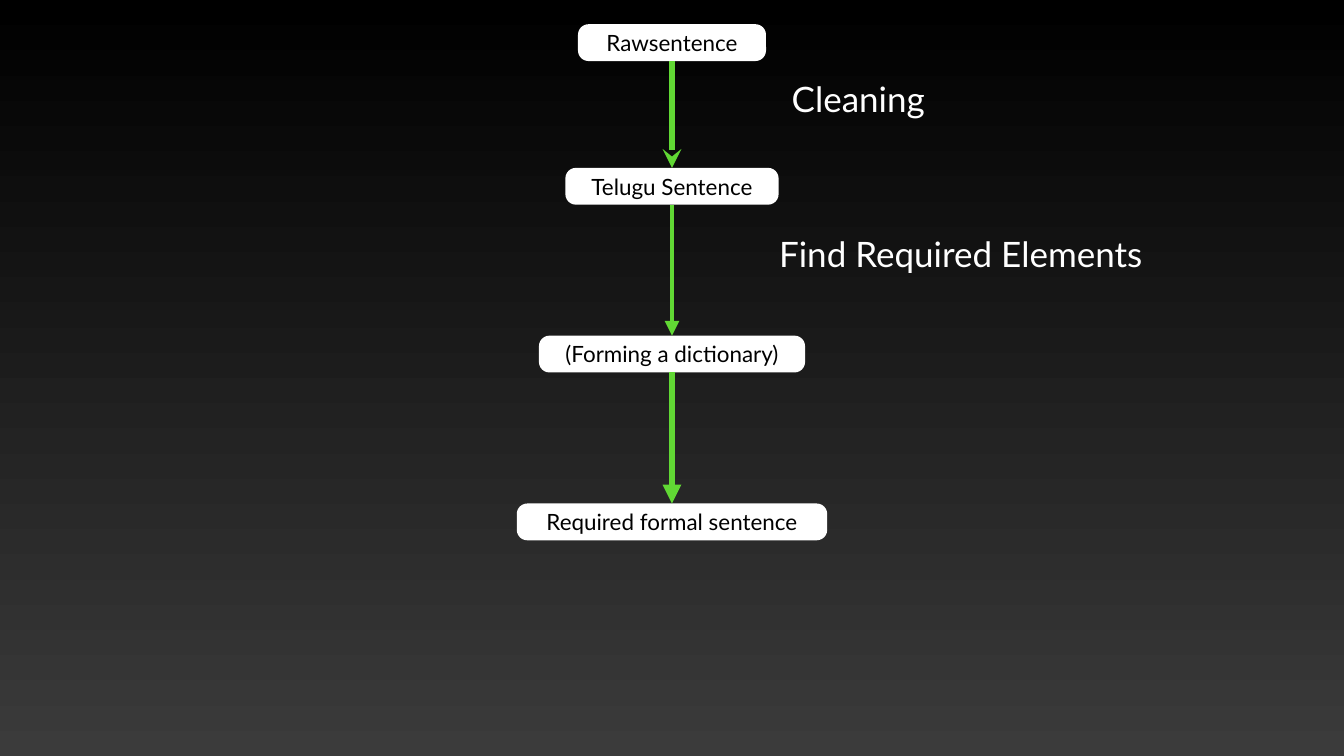
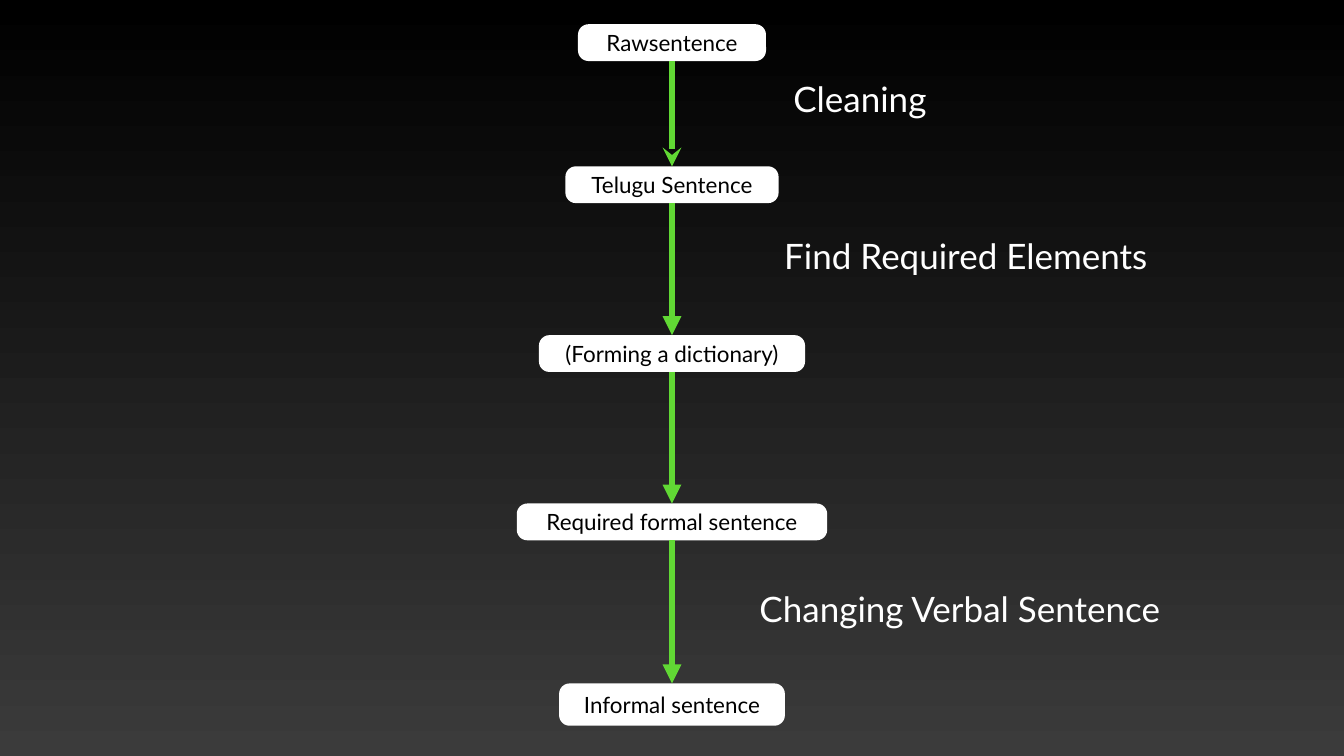
from lxml.etree import SubElement
from pptx import Presentation
from pptx.dml.color import RGBColor
from pptx.enum.shapes import MSO_CONNECTOR, MSO_SHAPE
from pptx.enum.text import MSO_ANCHOR, PP_ALIGN
from pptx.oxml.ns import qn
from pptx.util import Pt

THEME = {
    "font": "Lato",
    "top": RGBColor(0x00, 0x00, 0x00),
    "bottom": RGBColor(0x3B, 0x3B, 0x3B),
    "box": RGBColor(0xFF, 0xFF, 0xFF),
    "arrow": RGBColor(0x61, 0xD8, 0x34),
    "step": {"size": Pt(32), "color": RGBColor(0x00, 0x00, 0x00)},
    "label": {"size": Pt(50), "color": RGBColor(0xFF, 0xFF, 0xFF)},
}
WIDTH, HEIGHT = 1920, 1080
LABEL_HEIGHT = 66
CORNER = 15  # corner radius of every box
TOP_SITE, BOTTOM_SITE = 0, 2  # connection sites of a rounded rectangle

# Step: (text, width, height)
STEPS = [
    ("Rawsentence", 268.6, 52.6),
    ("Telugu Sentence", 304.6, 52.6),
    ("(Forming a dictionary)", 380.2, 52.6),
    ("Required formal sentence", 443.5, 52.6),
    ("Informal sentence", 322.6, 60.5),
]
# Arrows: (head, line width). Labels: (text, left, top, width)
FLOWS = [
    {
        "tops": [34.6, 239.8, 479.5, 719.3],
        "arrows": [("stealth", 9), ("triangle", 7), ("triangle", 9)],
        "labels": [
            ("Cleaning", 1131, 107.3, 210),
            ("Find Required Elements", 1113, 329, 554),
        ],
    },
    {
        "tops": [34.6, 237.6, 478.8, 719.3, 976.3],
        "arrows": [("stealth", 9)] + [("triangle", 9)] * 3,
        "labels": [
            ("Cleaning", 1133.3, 107.3, 210),
            ("Find Required Elements", 1120.3, 332.6, 554),
            ("Changing Verbal Sentence", 1085, 836, 627),
        ],
    },
]


def write(shape, text, style, alignment, margin):
    """Put one vertically centred line of styled text into a shape."""
    frame = shape.text_frame
    settings = {"word_wrap": True, "vertical_anchor": MSO_ANCHOR.MIDDLE}
    for side in ("left", "top", "right", "bottom"):
        settings[f"margin_{side}"] = Pt(margin)
    for name, value in settings.items():
        setattr(frame, name, value)
    paragraph = frame.paragraphs[0]
    paragraph.alignment = alignment
    run = paragraph.add_run()
    run.text = text
    run.font.name = THEME["font"]
    run.font.size = style["size"]
    run.font.color.rgb = style["color"]


def add_step(slide, step, top):
    """Add a rounded box centred on the slide and return it."""
    text, width, height = step
    shape = slide.shapes.add_shape(
        MSO_SHAPE.ROUNDED_RECTANGLE,
        Pt((WIDTH - width) / 2), Pt(top), Pt(width), Pt(height),
    )
    shape.adjustments[0] = CORNER / height
    shape.shadow.inherit = False
    shape.fill.solid()
    shape.fill.fore_color.rgb = THEME["box"]
    shape.line.fill.background()
    write(shape, text, THEME["step"], PP_ALIGN.CENTER, 4)
    return shape


def add_arrow(slide, upper, lower, head, width):
    """Connect the bottom of one box to the top of the next."""
    arrow = slide.shapes.add_connector(MSO_CONNECTOR.STRAIGHT, 0, 0, 0, 0)
    arrow.begin_connect(upper, BOTTOM_SITE)
    arrow.end_connect(lower, TOP_SITE)
    arrow.line.color.rgb = THEME["arrow"]
    arrow.line.width = Pt(width)
    SubElement(arrow.line._get_or_add_ln(), qn("a:tailEnd"), type=head)
    SubElement(arrow._element.spPr, qn("a:effectLst"))


def add_label(slide, text, left, top, width):
    """Add the name of the operation beside an arrow."""
    box = slide.shapes.add_textbox(Pt(left), Pt(top), Pt(width), Pt(LABEL_HEIGHT))
    write(box, text, THEME["label"], PP_ALIGN.LEFT, 0)


def set_background(master):
    """Give all slides the dark gradient, running from top to bottom."""
    fill = master.background.fill
    fill.gradient()
    fill.gradient_angle = 270
    for stop, position, name in zip(fill.gradient_stops, (0, 1), ("top", "bottom")):
        stop.position = position
        stop.color.rgb = THEME[name]


def add_flow(presentation, flow):
    """Add one slide with its chain of steps, arrows and labels."""
    slide = presentation.slides.add_slide(presentation.slide_layouts[6])
    boxes = [add_step(slide, step, top) for step, top in zip(STEPS, flow["tops"])]
    for upper, lower, arrow in zip(boxes, boxes[1:], flow["arrows"]):
        add_arrow(slide, upper, lower, *arrow)
    for label in flow["labels"]:
        add_label(slide, *label)


presentation = Presentation()
presentation.slide_width, presentation.slide_height = Pt(WIDTH), Pt(HEIGHT)
set_background(presentation.slide_master)
for flow in FLOWS:
    add_flow(presentation, flow)
presentation.save("out.pptx")
